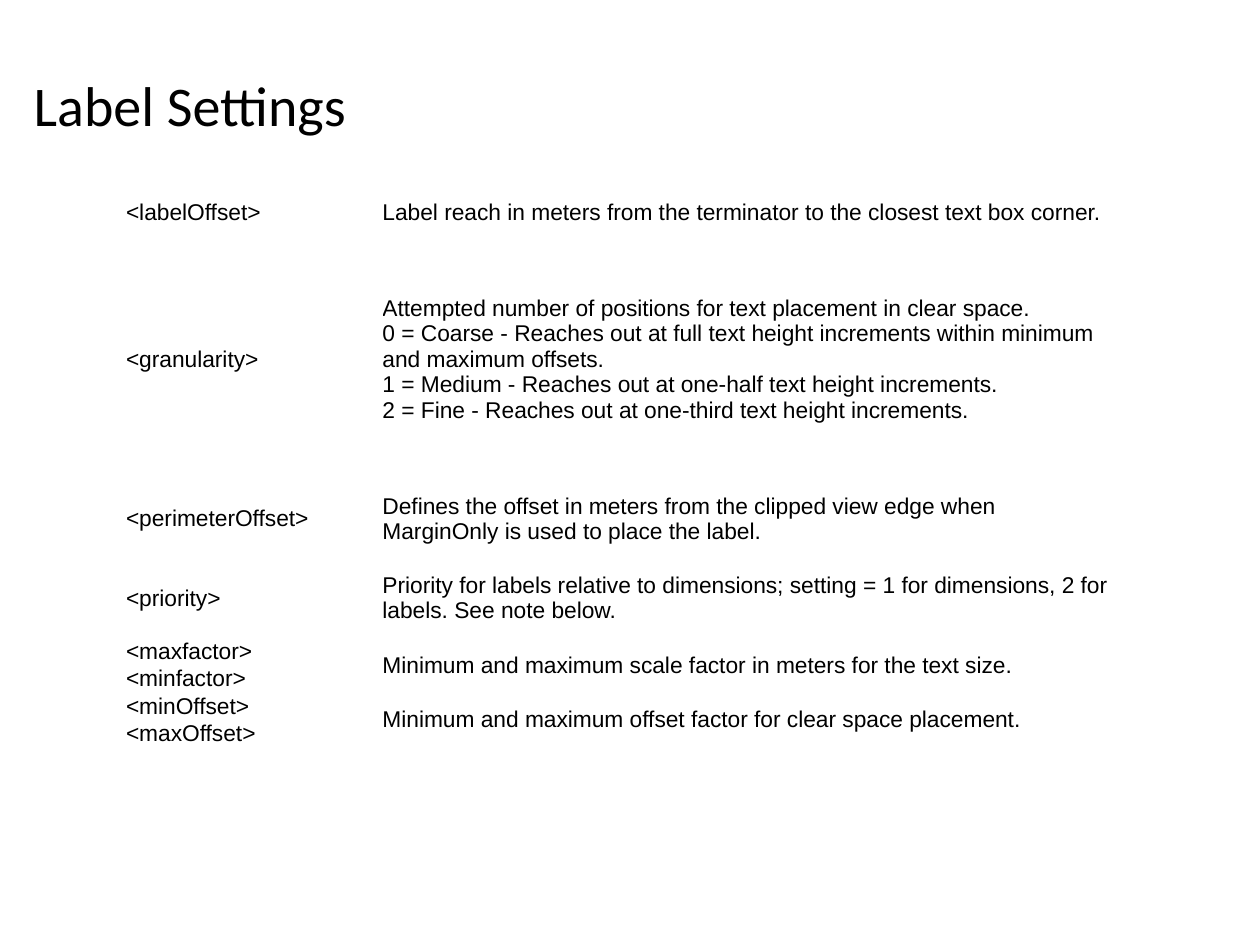
from lxml import etree
from pptx import Presentation
from pptx import util as u
from pptx.dml.color import RGBColor
from pptx.enum import text
from pptx.oxml.ns import qn

COLORS = {"ink": "000000"}
TITLE = "Label Settings"
SETTINGS = [
    (["<labelOffset>"], "Label reach in meters from the terminator to the closest text box corner.", 1.07),
    (["<granularity>"],
     "Attempted number of positions for text placement in clear space.\v"
     "0 = Coarse - Reaches out at full text height increments within minimum and maximum offsets.\v"
     "1 = Medium - Reaches out at one-half text height increments.\v"
     "2 = Fine - Reaches out at one-third text height increments.", 4.83),
    (["<perimeterOffset>"],
     "Defines the offset in meters from the clipped view edge when MarginOnly is used to place the label.", 1.6),
    (["<priority>"],
     "Priority for labels relative to dimensions; setting = 1 for dimensions, 2 for labels. See note below.", 1.6),
    (["<maxfactor>", "<minfactor>"], "Minimum and maximum scale factor in meters for the text size.", 0.54),
    (["<minOffset>", "<maxOffset>"], "Minimum and maximum offset factor for clear space placement.", 0.54),
]
COLUMN_WIDTHS = (5.17, 14.72)
TEXT_SIZE = 13


def style(paragraph, font_name, size):
    for run in paragraph.runs:
        run.font.name = font_name
        run.font.size = u.Pt(size)
        run.font.color.rgb = RGBColor.from_string(COLORS["ink"])
    for line_break in paragraph._p.findall(qn("a:br")):
        etree.SubElement(line_break, qn("a:rPr"), sz=str(size * 100))


def write_cell(cell, content):
    paragraph = cell.text_frame.paragraphs[0]
    paragraph.text = content
    style(paragraph, "Arial", TEXT_SIZE)


def add_heading(slide):
    heading = slide.shapes.add_textbox(u.Cm(0.43), u.Cm(0.51), u.Cm(18.85), u.Cm(3.18))
    frame = heading.text_frame
    frame.word_wrap = True
    frame.vertical_anchor = text.MSO_ANCHOR.MIDDLE
    frame.text = TITLE
    style(frame.paragraphs[0], "Calibri", 32)


def add_settings(slide):
    heights = [height for names, _, height in SETTINGS for _ in names]
    settings = slide.shapes.add_table(
        len(heights), len(COLUMN_WIDTHS), u.Cm(2.54), u.Cm(3.76),
        u.Cm(sum(COLUMN_WIDTHS)), u.Cm(sum(heights))).table
    settings.first_row = settings.horz_banding = False
    for column, width in zip(settings.columns, COLUMN_WIDTHS):
        column.width = u.Cm(width)
    for row, height in zip(settings.rows, heights):
        row.height = u.Cm(height)
    for cell in settings.iter_cells():
        cell.fill.background()
        cell.vertical_anchor = text.MSO_ANCHOR.MIDDLE
        cell.margin_left = cell.margin_right = cell.margin_top = cell.margin_bottom = 0
        etree.SubElement(cell.text_frame.paragraphs[0]._p, qn("a:endParaRPr"), sz=str(TEXT_SIZE * 100))

    first = 0
    for names, description, _ in SETTINGS:
        last = first + len(names) - 1
        for offset, name in enumerate(names):
            write_cell(settings.cell(first + offset, 0), name)
        if last > first:
            settings.cell(first, 1).merge(settings.cell(last, 1))
        write_cell(settings.cell(first, 1), description)
        first = last + 1


def main():
    deck = Presentation()
    deck.slide_width, deck.slide_height = u.Cm(25.4), u.Cm(19.05)
    slide = deck.slides.add_slide(deck.slide_layouts[6])
    add_heading(slide)
    add_settings(slide)
    deck.save("out.pptx")


if __name__ == "__main__":
    main()
